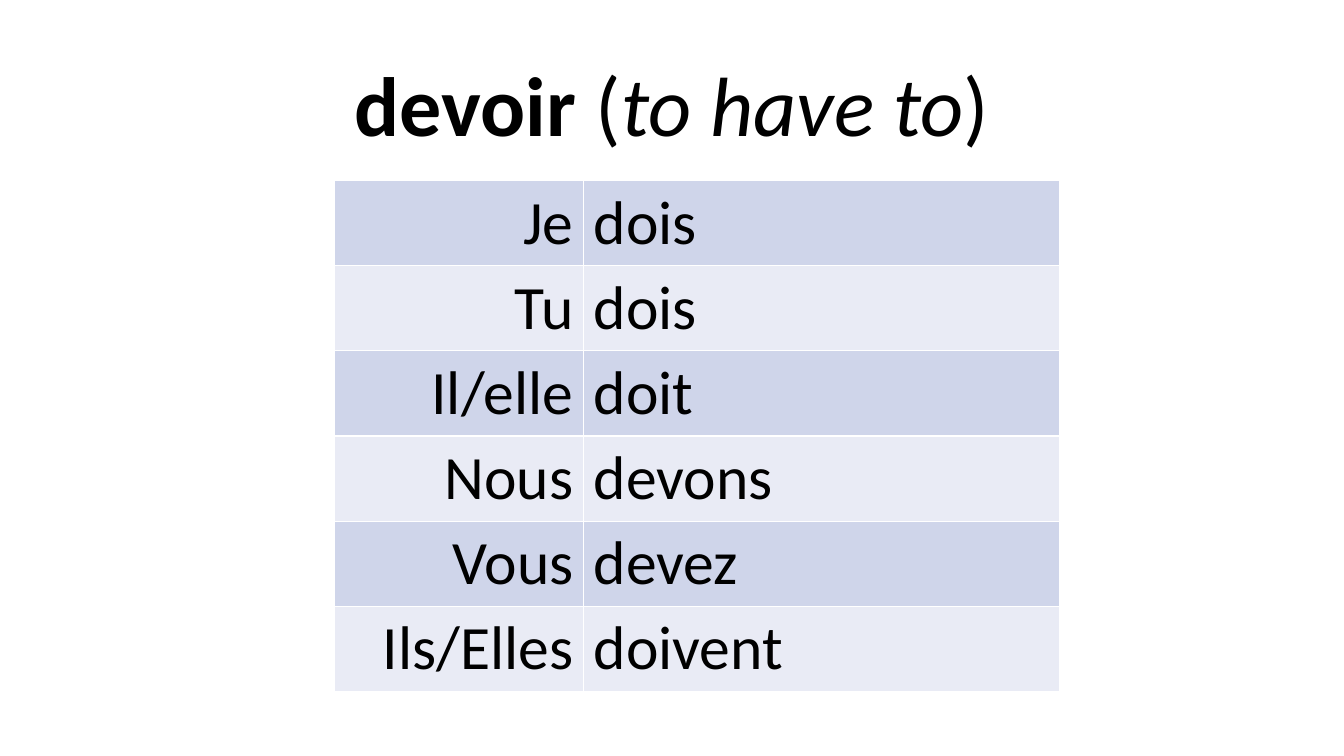
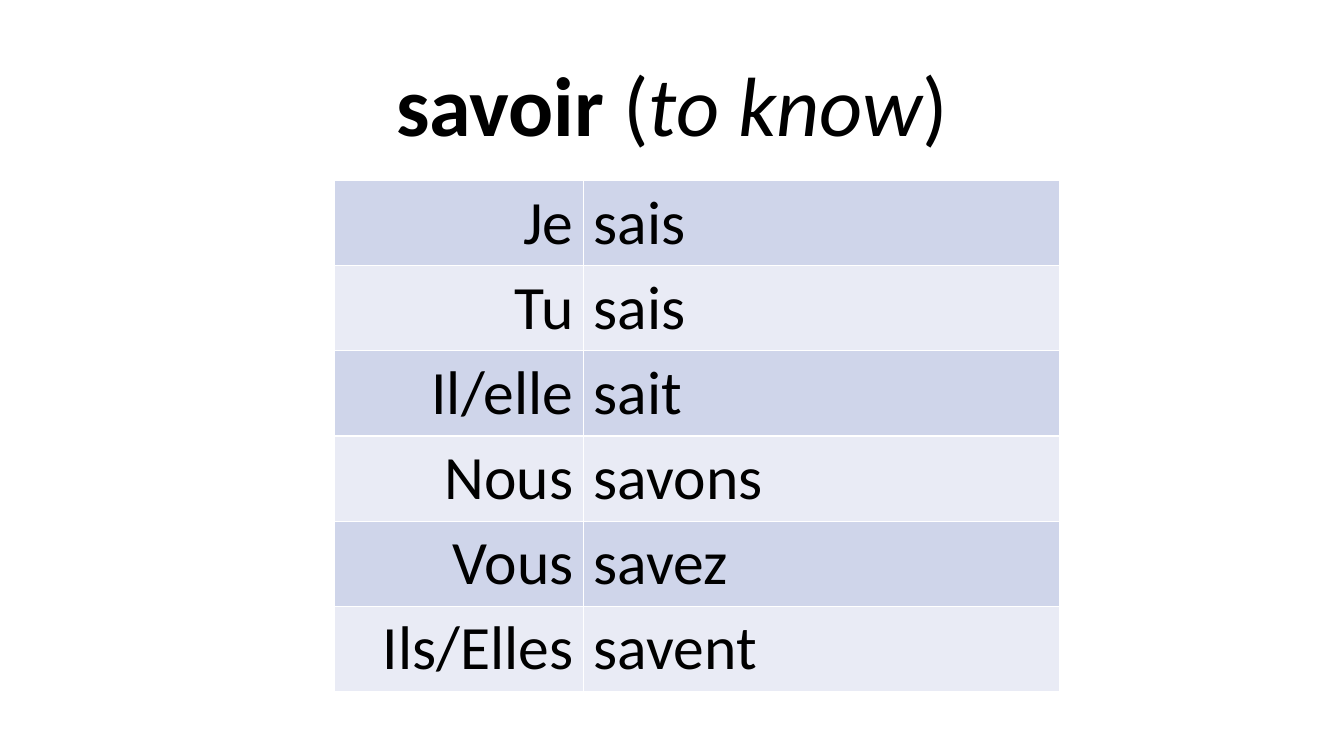
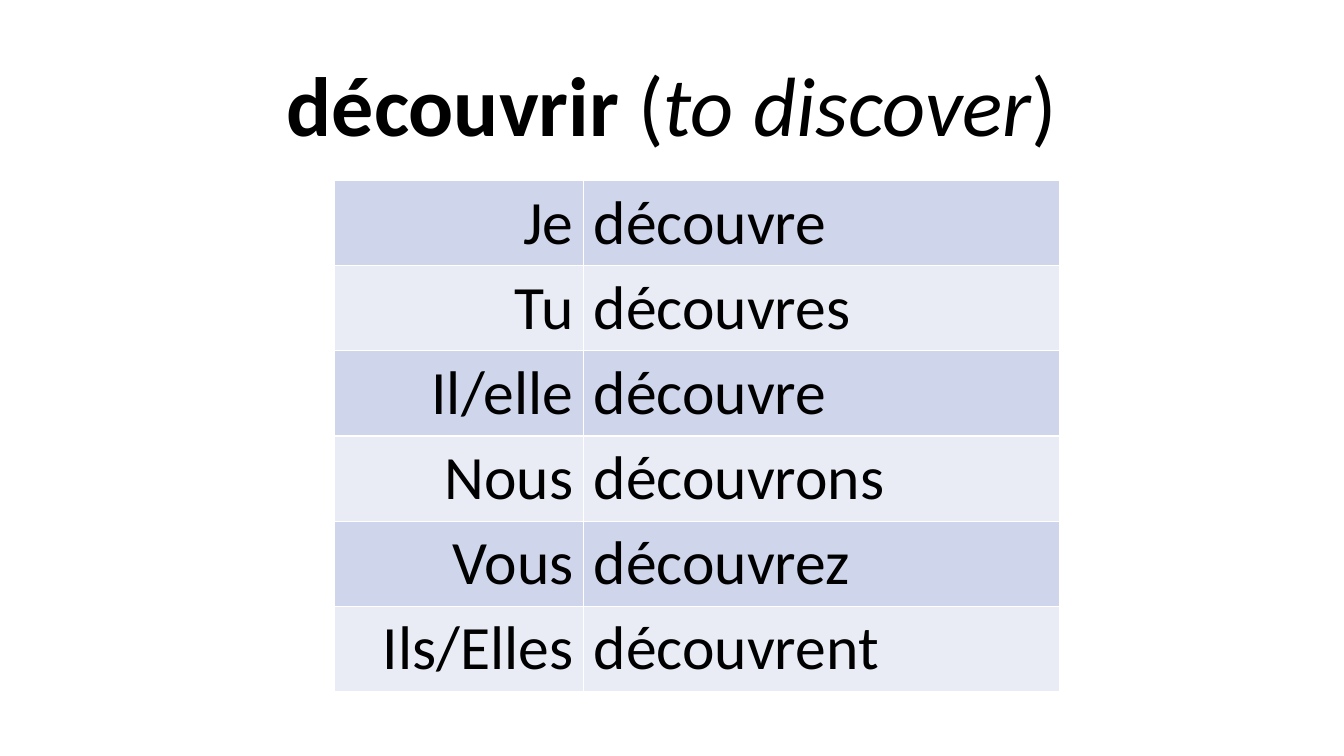
from lxml import etree
from pptx import Presentation
from pptx.dml.color import RGBColor
from pptx.enum.text import MSO_ANCHOR, PP_ALIGN
from pptx.oxml.ns import qn
from pptx.util import Inches, Pt

CENTER, LEFT, RIGHT = PP_ALIGN.CENTER, PP_ALIGN.LEFT, PP_ALIGN.RIGHT
BOTTOM = MSO_ANCHOR.BOTTOM
BLACK = RGBColor(0x00, 0x00, 0x00)
WHITE = RGBColor(0xFF, 0xFF, 0xFF)
BANDS = (RGBColor(0xCF, 0xD5, 0xEA), RGBColor(0xE9, 0xEB, 0xF5))
FONT = "Calibri"
TITLE_SIZE, TABLE_SIZE = Pt(60), Pt(44)
GRID_COLUMNS, GRID_ROWS = 160, 90
TITLE_AREA = (20, 5.28, 120, 13.68)
TABLE_CORNER = (39.84, 21.48)
PRONOUN_WIDTH, FORM_WIDTH, ROW_HEIGHT = 29.64, 56.64, 10.14

PRONOUNS = ("Je", "Tu", "Il/elle", "Nous", "Vous", "Ils/Elles")
VERBS = (
    ("devoir", "to have to",
     ("dois", "dois", "doit", "devons", "devez", "doivent")),
    ("savoir", "to know",
     ("sais", "sais", "sait", "savons", "savez", "savent")),
    ("découvrir", "to discover",
     ("découvre", "découvres", "découvre", "découvrons", "découvrez", "découvrent")),
)


class VerbDeck:
    """Conjugation slides with one shared style, placed on a 160 by 90 grid."""

    def __init__(self):
        self.deck = Presentation()
        self.deck.slide_width, self.deck.slide_height = Inches(13.33), Inches(7.5)
        self.slide = None

    def x(self, columns):
        return round(self.deck.slide_width * columns / GRID_COLUMNS)

    def y(self, rows):
        return round(self.deck.slide_height * rows / GRID_ROWS)

    def new_slide(self):
        self.slide = self.deck.slides.add_slide(self.deck.slide_layouts[6])

    def style(self, run, size, bold=False, italic=False):
        font = run.font
        font.name, font.size = FONT, size
        font.bold, font.italic = bold, italic
        font.color.rgb = BLACK

    def title(self, verb, meaning):
        left, top, width, height = TITLE_AREA
        heading = self.slide.shapes.add_textbox(
            self.x(left), self.y(top), self.x(width), self.y(height)).text_frame
        heading.word_wrap = True
        heading.vertical_anchor = BOTTOM
        line = heading.paragraphs[0]
        line.alignment, line.line_spacing = CENTER, 0.9
        for wording, bold, italic in ((verb, True, False), (" (", False, False),
                                      (meaning, False, True), (")", False, False)):
            run = line.add_run()
            run.text = wording
            self.style(run, TITLE_SIZE, bold, italic)

    def borders(self, cell):
        properties = cell._tc.get_or_add_tcPr()
        for side in ("a:lnL", "a:lnR", "a:lnT", "a:lnB"):
            edge = etree.SubElement(properties, qn(side), w=str(Pt(1)))
            paint = etree.SubElement(edge, qn("a:solidFill"))
            etree.SubElement(paint, qn("a:srgbClr"), val=str(WHITE))

    def cell(self, cell, wording, alignment, band):
        self.borders(cell)
        cell.fill.solid()
        cell.fill.fore_color.rgb = band
        cell.text_frame.text = wording
        line = cell.text_frame.paragraphs[0]
        line.alignment = alignment
        self.style(line.runs[0], TABLE_SIZE)

    def conjugation(self, forms):
        left, top = TABLE_CORNER
        count = len(PRONOUNS)
        table = self.slide.shapes.add_table(
            count, 2, self.x(left), self.y(top),
            self.x(PRONOUN_WIDTH + FORM_WIDTH), self.y(count * ROW_HEIGHT)).table
        table.first_row = table.horz_banding = False
        table.columns[0].width = self.x(PRONOUN_WIDTH)
        table.columns[1].width = self.x(FORM_WIDTH)
        for index, (pronoun, form) in enumerate(zip(PRONOUNS, forms)):
            band = BANDS[index % 2]
            table.rows[index].height = self.y(ROW_HEIGHT)
            self.cell(table.cell(index, 0), pronoun, RIGHT, band)
            self.cell(table.cell(index, 1), form, LEFT, band)


def main():
    verb_deck = VerbDeck()
    for verb, meaning, forms in VERBS:
        verb_deck.new_slide()
        verb_deck.title(verb, meaning)
        verb_deck.conjugation(forms)
    verb_deck.deck.save("out.pptx")


if __name__ == "__main__":
    main()
